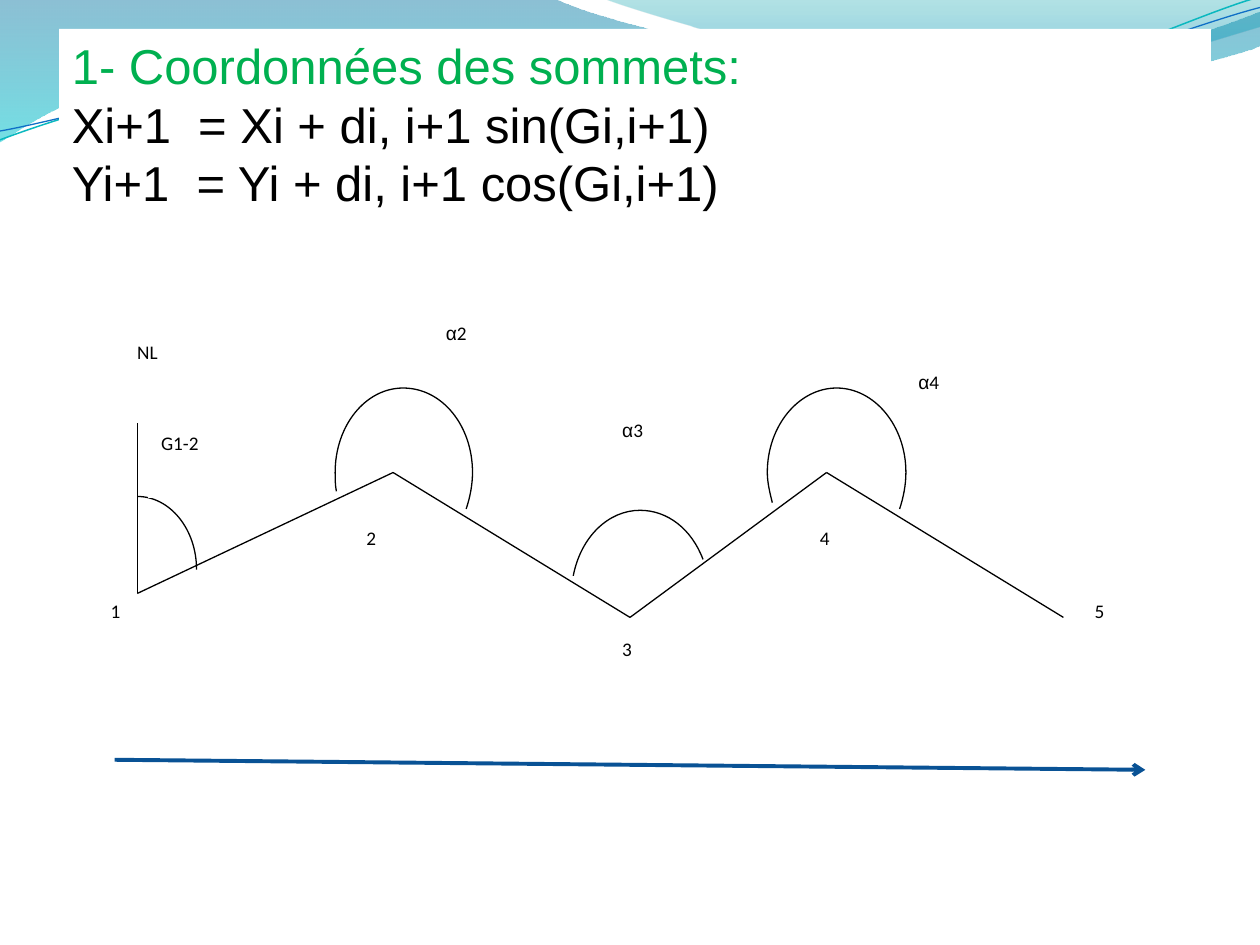
from dataclasses import dataclass
from math import cos, radians, sin

from lxml.etree import SubElement
from pptx import Presentation
from pptx.dml.color import RGBColor as Rgb
from pptx.enum.shapes import MSO_CONNECTOR as Link, MSO_SHAPE as Preset
from pptx.enum.text import MSO_ANCHOR as Anchor, MSO_AUTO_SIZE as AutoSize, PP_ALIGN as Align
from pptx.oxml.ns import qn
from pptx.util import Inches, Pt


@dataclass(frozen=True)
class Theme:
    white: str = "FFFFFF"
    ink: str = "000000"
    heading: str = "00B050"
    arrow: str = "095295"
    wave_teal: str = "0AB8BF"
    wave_blue: str = "0F6FC6"
    # Gradient stops: position, colour, opacity in percent
    left_band: tuple = ((0, "0074A1", 45), (1, "00C6CF", 55))
    right_band: tuple = ((0, "00A1A9", 30), (0.8, "008BBF", 45))
    title_font: str = "Arial"
    label_font: str = "Calibri"
    title_size: float = 28
    label_size: float = 11
    thin: float = 0.75


THEME = Theme()
WAVE_TILT = -2.7

# Survey stations 1 to 5
STATIONS = [(1.09, 4.71), (3.12, 3.75), (5, 4.9), (6.56, 3.75), (8.44, 4.9)]
NORTH = (1.09, 3.36)

# Angle marks: start, then curves of two controls and an end
BEARING = (1.09, 3.94), [[(1.35, 3.94), (1.56, 4.2), (1.56, 4.52)]]
STATION_ANGLES = [
    ((2.67, 3.9), [
        [(2.66, 3.85), (2.66, 3.8), (2.66, 3.75)],
        [(2.66, 3.38), (2.9, 3.08), (3.2, 3.08)],
        [(3.51, 3.08), (3.75, 3.38), (3.75, 3.75)],
        [(3.75, 3.85), (3.73, 3.95), (3.7, 4.04)],
    ]),
    ((6.13, 3.99), [
        [(6.11, 3.91), (6.09, 3.83), (6.09, 3.75)],
        [(6.09, 3.38), (6.34, 3.08), (6.64, 3.08)],
        [(6.94, 3.08), (7.19, 3.38), (7.19, 3.75)],
        [(7.19, 3.85), (7.17, 3.95), (7.14, 4.04)],
    ]),
    ((4.55, 4.57), [
        [(4.61, 4.26), (4.83, 4.05), (5.08, 4.05)],
        [(5.3, 4.05), (5.49, 4.2), (5.58, 4.44)],
    ]),
]

# Labels: text, left, top, width, height
FRAMED_LABELS = [("NL", 0.99, 2.65, 0.63, 0.58), ("3", 4.84, 5.01, 0.47, 0.77)]
PLAIN_LABELS = [
    ("2", 2.81, 4.13, 0.47, 0.58),
    ("4", 6.41, 4.13, 0.47, 0.58),
    ("5", 8.59, 4.71, 0.47, 0.58),
]
FIRST_STATION = ("1", 0.78, 4.71, 0.47, 0.58)
ANGLE_LABELS = [
    ("α4", 7.19, 2.89, 0.63, 0.58),
    ("α3", 4.84, 3.27, 0.63, 0.58),
    ("α2", 3.44, 2.5, 0.63, 0.58),
    ("G1-2", 1.18, 3.37, 0.78, 0.58),
]


def color(value):
    return Rgb.from_string(value)


def write(paragraph, text, *, font, size, ink, after=0):
    """Add one formatted run to a left-aligned paragraph."""
    paragraph.alignment = Align.LEFT
    paragraph.space_after = Pt(after)
    run = paragraph.add_run()
    run.text = text
    run.font.name = font
    run.font.size = Pt(size)
    run.font.color.rgb = color(ink)


def set_line(shape, ink, width=THEME.thin):
    shape.line.color.rgb = color(ink)
    shape.line.width = Pt(width)


def add_outline(shapes, start, segments, closed=False):
    """Each segment is one point for a line or three points for a curve."""
    builder = shapes.build_freeform(*map(Inches, start), scale=1.0)
    corners = [(Inches(x), Inches(y)) for segment in segments for x, y in segment]
    builder.add_line_segments(corners, close=closed)
    outline = builder.convert_to_shape()
    outline.shadow.inherit = False
    # Join every three points of a curve into one cubic segment
    steps = iter(list(outline.element.iter(qn("a:lnTo"))))
    for segment in segments:
        parts = [next(steps) for _ in segment]
        if len(parts) == 3:
            parts[0].tag = qn("a:cubicBezTo")
            for part in parts[1:]:
                parts[0].append(part[0])
                part.getparent().remove(part)
    return outline


def add_band(shapes, start, segments, stops):
    band = add_outline(shapes, start, segments, closed=True)
    band.line.fill.background()
    band.fill.gradient()
    band.fill.gradient_angle = 270
    for stop, (position, value, _) in zip(band.fill.gradient_stops, stops):
        stop.position = position
        stop.color.rgb = color(value)
    for node, (_, _, opacity) in zip(band.element.iter(qn("a:srgbClr")), stops):
        SubElement(node, qn("a:alpha"), val=str(opacity * 1000))


def add_curve(shapes, start, curves, ink=THEME.ink, width=THEME.thin):
    curve = add_outline(shapes, start, curves)
    curve.fill.background()
    set_line(curve, ink, width)
    return curve


def add_wave(shapes, center, start, curves, ink, width):
    """Lay the wave level, then tilt it as a whole about its centre."""
    turn = radians(-WAVE_TILT)

    def level(point):
        dx, dy = point[0] - center[0], point[1] - center[1]
        return (center[0] + dx * cos(turn) - dy * sin(turn),
                center[1] + dx * sin(turn) + dy * cos(turn))

    level_curves = [[level(point) for point in curve] for curve in curves]
    add_curve(shapes, level(start), level_curves, ink, width).rotation = WAVE_TILT


def add_line(shapes, start, end, ink=THEME.ink, width=THEME.thin, arrow=False):
    line = shapes.add_connector(Link.STRAIGHT, *map(Inches, (*start, *end)))
    set_line(line, ink, width)
    if arrow:
        SubElement(line.line._get_or_add_ln(), qn("a:tailEnd"), type="arrow")
    SubElement(line.element.spPr, qn("a:effectLst"))


def write_label(label, text):
    frame = label.text_frame
    frame.word_wrap = True
    frame.vertical_anchor = Anchor.TOP
    for part in ("α", text[1:]) if text.startswith("α") else (text,):
        font = THEME.title_font if part == "α" else THEME.label_font
        write(frame.paragraphs[0], part, font=font,
              size=THEME.label_size, ink=THEME.ink, after=10)


def add_label(shapes, text, *box, framed=True):
    label = shapes.add_shape(Preset.RECTANGLE, *map(Inches, box))
    label.shadow.inherit = False
    label.fill.solid()
    label.fill.fore_color.rgb = color(THEME.white)
    if framed:
        set_line(label, THEME.white)
    else:
        label.line.fill.background()
    write_label(label, text)


def add_background(shapes):
    add_band(shapes, (0, 0), [
        [(4.4, -0.01)],
        [(4.76, 0.17), (6.64, 0.63), (7.58, 0.63)],
        [(8.53, 0.63), (9.58, 0.26), (10, 0.09)],
        [(10.01, 0.36)],
        [(9.83, 0.44), (8.7, 0.76), (7.46, 0.75)],
        [(6.22, 0.75), (3.82, 0.28), (2.57, 0.34)],
        [(1.29, 0.36), (0.46, 0.83), (-0.01, 1.13)],
    ], THEME.left_band)
    add_band(shapes, (4.79, -0.01), [
        [(5.09, 0.11), (6.82, 0.62), (7.69, 0.65)],
        [(8.56, 0.69), (9.61, 0.32), (10, 0.21)],
        [(10, 0)],
    ], THEME.right_band)
    waves = shapes.add_group_shape().shapes
    add_wave(waves, (4.99, 0.58), (0, 1.11), [
        [(0.48, 0.93), (1.58, 0.57), (2.77, 0.52)],
        [(3.95, 0.47), (5.93, 0.89), (7.13, 0.8)],
        [(8.33, 0.71), (9.38, 0.15), (9.98, -0.02)],
    ], THEME.wave_teal, 0.85)
    add_wave(waves, (5, 0.59), (0, 1.04), [
        [(0.47, 0.96), (1.64, 0.61), (2.83, 0.56)],
        [(4.03, 0.51), (5.97, 0.84), (7.17, 0.75)],
        [(8.36, 0.67), (9.41, 0.21), (10, 0.06)],
    ], THEME.wave_blue, THEME.thin)


def fill_title(title):
    title.left, title.top, title.width, title.height = map(Inches, (0.47, 0.23, 9.14, 1.51))
    title.fill.solid()
    title.fill.fore_color.rgb = color(THEME.white)
    frame = title.text_frame
    frame.word_wrap = True
    frame.auto_size = AutoSize.SHAPE_TO_FIT_TEXT
    frame.vertical_anchor = Anchor.TOP
    lines = [
        ("1- Coordonnées des sommets:", THEME.heading),
        ("Xi+1  = Xi + di, i+1 sin(Gi,i+1)", THEME.ink),
        ("Yi+1  = Yi + di, i+1 cos(Gi,i+1)", THEME.ink),
    ]
    for index, (text, ink) in enumerate(lines):
        paragraph = frame.add_paragraph() if index else frame.paragraphs[0]
        paragraph.space_before = Pt(0)
        write(paragraph, text, font=THEME.title_font, size=THEME.title_size, ink=ink)
    # Bring the title in front of the background bands
    title.element.getparent().append(title.element)


def add_traverse(shapes):
    stops = [NORTH, *STATIONS]
    for start, end in zip(stops, stops[1:]):
        add_line(shapes, start, end)
    add_curve(shapes, *BEARING)
    for label in FRAMED_LABELS:
        add_label(shapes, *label)
    for label in PLAIN_LABELS:
        add_label(shapes, *label, framed=False)
    text, *box = FIRST_STATION
    write_label(shapes.add_textbox(*map(Inches, box)), text)
    for angle in STATION_ANGLES:
        add_curve(shapes, *angle)
    for label in ANGLE_LABELS:
        add_label(shapes, *label)


def main():
    deck = Presentation()
    deck.slide_width, deck.slide_height = Inches(10), Inches(7.5)
    slide = deck.slides.add_slide(deck.slide_layouts[5])
    add_background(slide.shapes)
    fill_title(slide.shapes.title)
    add_traverse(slide.shapes.add_group_shape().shapes)
    # Direction of travel
    add_line(slide.shapes, (0.91, 6.03), (9.09, 6.11), THEME.arrow, 2.25, arrow=True)
    deck.save("out.pptx")


if __name__ == "__main__":
    main()
